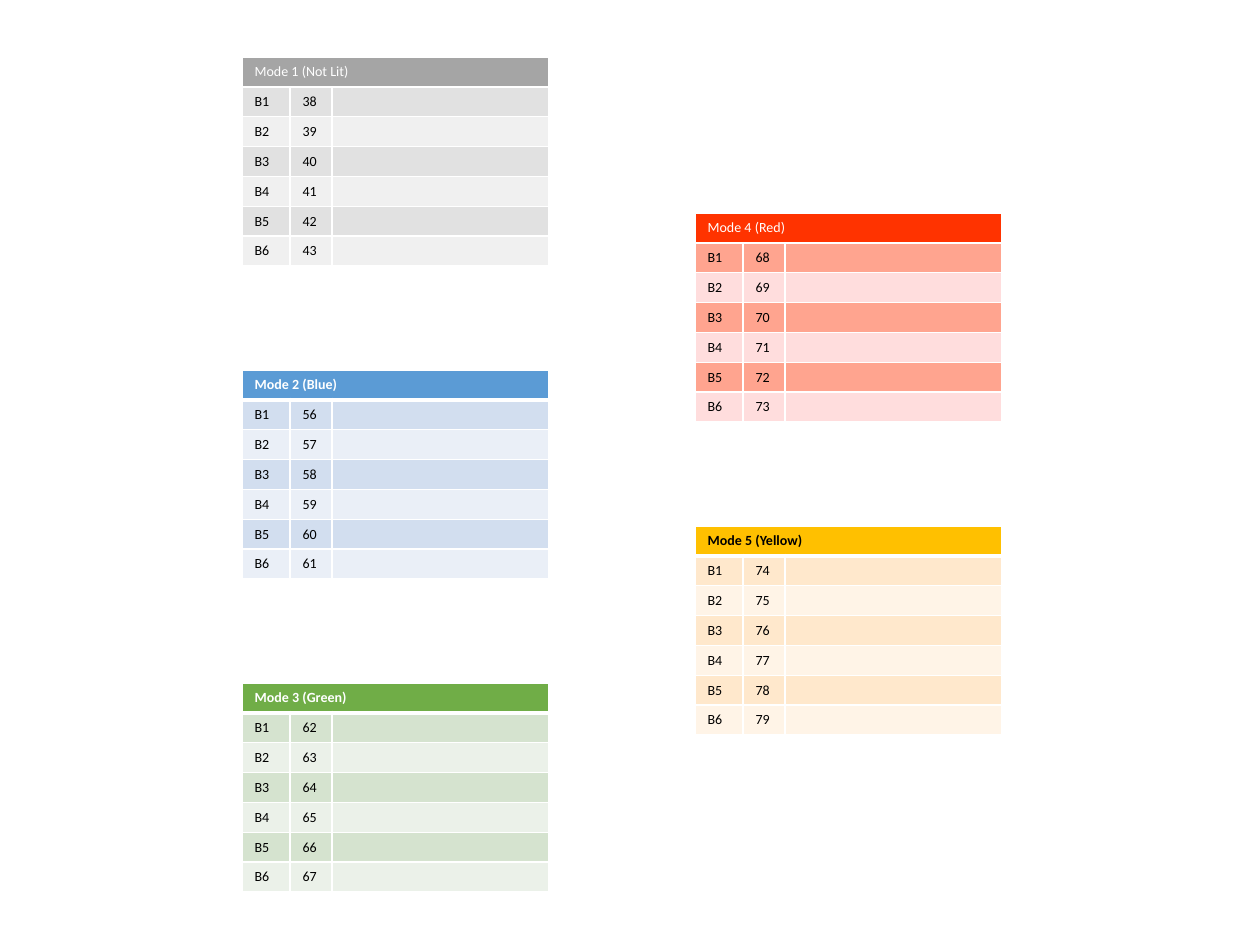
"""Build a slide of five colour-coded button mode tables."""
from lxml import etree
from pptx import Presentation
from pptx.dml.color import RGBColor
from pptx.oxml.ns import qn
from pptx.util import Pt

PX = 914400 // 126
THEME = {
    "font": "Calibri",
    "size": 8,
    "white": "FFFFFF",
    "black": "000000",
    "thin": 1,
    "thick": 3,
    "gray": ("A5A5A5", "E1E1E1", "F0F0F0"),
    "blue": ("5B9BD5", "D2DEEF", "EAEFF7"),
    "green": ("70AD47", "D5E3CF", "EBF1E9"),
    "red": ("FF3300", "FFA48F", "FFDDDD"),
    "yellow": ("FFC000", "FFE8CC", "FFF4E7"),
}
LEFT_COLUMN, RIGHT_COLUMN = 242, 695
LEFT_TOP, RIGHT_TOP, MODE_STEP = 57, 213, 313
COLUMN_WIDTHS = (48, 42, 217)
ROW_HEIGHT = 29
BUTTONS = 6
MODES = [
    ("Mode 1 (Not Lit)", 38, "gray", "white", False, LEFT_COLUMN, LEFT_TOP),
    ("Mode 2 (Blue)", 56, "blue", "white", True, LEFT_COLUMN, LEFT_TOP + MODE_STEP),
    ("Mode 3 (Green)", 62, "green", "white", True, LEFT_COLUMN, LEFT_TOP + 2 * MODE_STEP),
    ("Mode 4 (Red)", 68, "red", "white", False, RIGHT_COLUMN, RIGHT_TOP),
    ("Mode 5 (Yellow)", 74, "yellow", "black", True, RIGHT_COLUMN, RIGHT_TOP + MODE_STEP),
]


def add_borders(cell, top, bottom):
    properties = cell._tc.get_or_add_tcPr()
    thin = THEME["thin"]
    for side, width in (("L", thin), ("R", thin), ("T", top), ("B", bottom)):
        line = etree.SubElement(properties, qn(f"a:ln{side}"), w=str(Pt(width)))
        solid = etree.SubElement(line, qn("a:solidFill"))
        etree.SubElement(solid, qn("a:srgbClr"), val=THEME["white"])


def style_cell(cell, text, fill, color, bold):
    cell.fill.solid()
    cell.fill.fore_color.rgb = RGBColor.from_string(fill)
    paragraph = cell.text_frame.paragraphs[0]
    if text:
        paragraph.add_run().text = text
    paragraph.font.name = THEME["font"]
    paragraph.font.size = Pt(THEME["size"])
    paragraph.font.bold = bold
    paragraph.font.color.rgb = RGBColor.from_string(THEME[color])
    etree.SubElement(paragraph._p, qn("a:endParaRPr"), sz=str(THEME["size"] * 100))


deck = Presentation()
deck.slide_width = 1260 * PX
deck.slide_height = 945 * PX
slide = deck.slides.add_slide(deck.slide_layouts[6])

for title, first_code, palette, title_color, bold_title, left, top in MODES:
    header_fill, *bands = THEME[palette]
    header_rule = THEME["thick"] if bold_title else THEME["thin"]
    mode = slide.shapes.add_table(
        BUTTONS + 1, len(COLUMN_WIDTHS), left * PX, top * PX,
        sum(COLUMN_WIDTHS) * PX, (BUTTONS + 1) * ROW_HEIGHT * PX,
    ).table
    mode.first_row = False
    mode.horz_banding = False
    for column, width in zip(mode.columns, COLUMN_WIDTHS):
        column.width = width * PX
    for row in mode.rows:
        row.height = ROW_HEIGHT * PX

    mode.cell(0, 0).merge(mode.cell(0, 2))
    for column, text in enumerate((title, "", "")):
        header = mode.cell(0, column)
        add_borders(header, THEME["thin"], header_rule)
        style_cell(header, text, header_fill, title_color, bold_title)

    for button in range(1, BUTTONS + 1):
        code = first_code + button - 1
        top_rule = header_rule if button == 1 else THEME["thin"]
        for column, text in enumerate((f"B{button}", str(code), "")):
            entry = mode.cell(button, column)
            add_borders(entry, top_rule, THEME["thin"])
            style_cell(entry, text, bands[(button - 1) % 2], "black", False)

deck.save("out.pptx")
